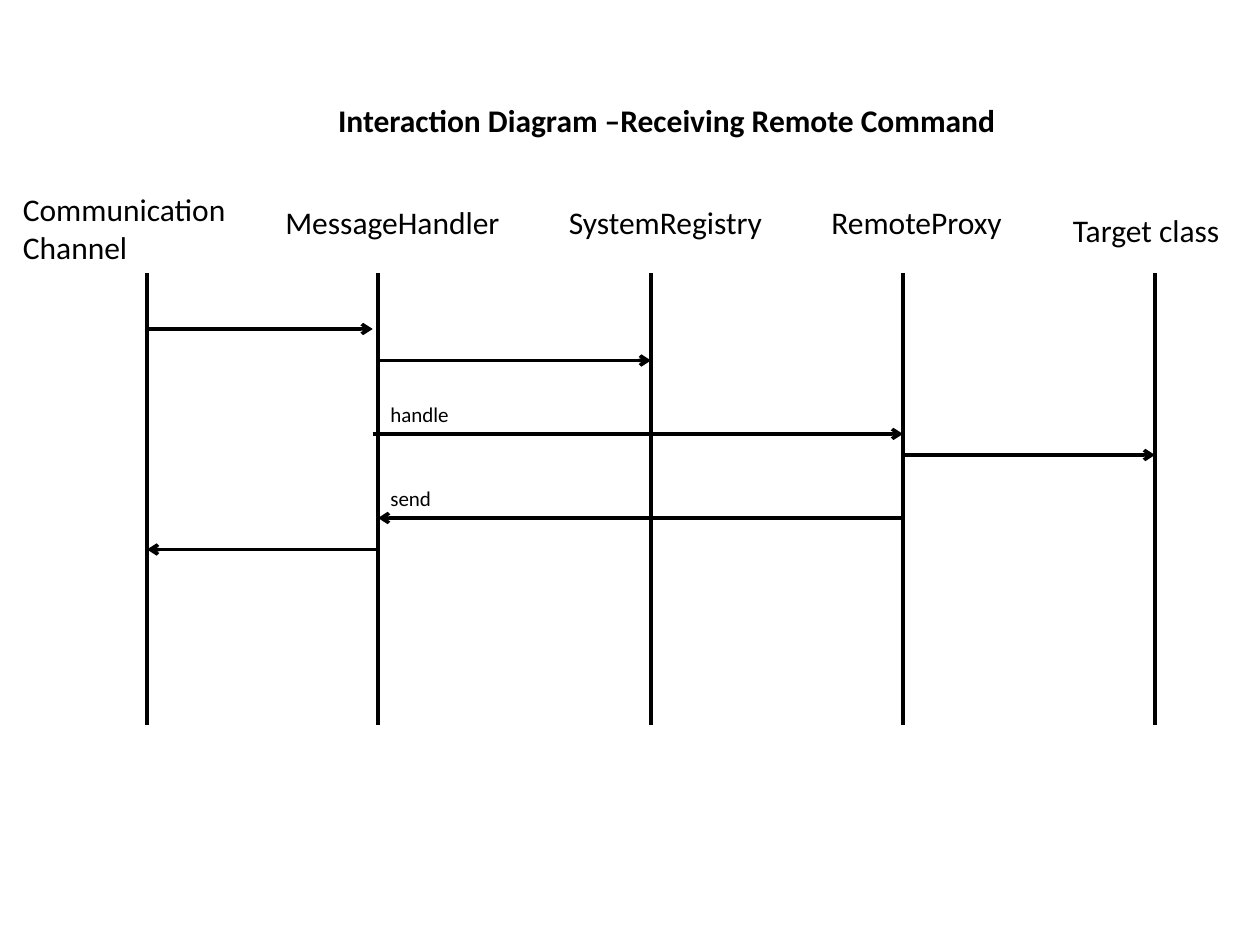
from lxml import etree
from pptx import Presentation
from pptx.dml.color import RGBColor
from pptx.enum import shapes, text
from pptx.oxml import ns
from pptx.util import Pt


def rgb(value):
    """Turn a hex string into a colour."""
    return RGBColor.from_string(value)


class SequenceDiagram:
    """Hold the diagram style and the slide being drawn."""

    font, ink, weight = "Calibri", "000000", 2

    def __init__(self, prs):
        """Add a title-only slide."""
        self.s = prs.slides.add_slide(prs.slide_layouts[5])

    def style(self, tf, size, bold=False, wrap=True):
        """Format every run of a text frame."""
        tf.word_wrap = wrap
        tf.auto_size = text.MSO_AUTO_SIZE.NONE
        tf.vertical_anchor = text.MSO_ANCHOR.TOP
        for p in tf.paragraphs:
            p.alignment = text.PP_ALIGN.LEFT
            for r in p.runs:
                r.font.name, r.font.size, r.font.bold = self.font, Pt(size), bold
                r.font.color.rgb = rgb(self.ink)

    def title(self, words, x, y, w, h):
        """Place the slide title."""
        sp = self.s.shapes.title
        sp.left, sp.top, sp.width, sp.height = Pt(x), Pt(y), Pt(w), Pt(h)
        sp.text_frame.text = words
        self.style(sp.text_frame, 18, bold=True, wrap=False)

    def label(self, words, x, y, w, h, size=18):
        """Add a text label."""
        sp = self.s.shapes.add_textbox(Pt(x), Pt(y), Pt(w), Pt(h))
        sp.text_frame.text = words
        self.style(sp.text_frame, size)

    def line(self, x1, y1, x2, y2):
        """Add a straight line without shadow."""
        sp = self.s.shapes.add_connector(
            shapes.MSO_CONNECTOR.STRAIGHT, Pt(x1), Pt(y1), Pt(x2), Pt(y2))
        sp.line.color.rgb = rgb(self.ink)
        sp.line.width = Pt(self.weight)
        etree.SubElement(sp._element.spPr, ns.qn("a:effectLst"))
        return sp

    def message(self, x1, x2, y):
        """Add a horizontal arrow between two lifelines."""
        ln = self.line(x1, y, x2, y).line._get_or_add_ln()
        etree.SubElement(ln, ns.qn("a:tailEnd"), type="arrow")


def main():
    """Build and save the slide."""
    prs = Presentation()
    prs.slide_width, prs.slide_height = Pt(720), Pt(540)
    d = SequenceDiagram(prs)
    d.title("Interaction Diagram –Receiving Remote Command", 186, 54, 394, 29)

    channel, handler, registry, proxy, target = 84, 216, 372, 516, 660
    participants = [
        ("Communication\vChannel", channel, 6, 105, 138, 51),
        ("MessageHandler", handler, 156, 112.5, 138, 29),
        ("SystemRegistry", registry, 318, 112.5, 138, 29),
        ("RemoteProxy", proxy, 468, 112.5, 138, 29),
        ("Target class", target, 606, 117, 114, 29),
    ]
    for name, lifeline, x, y, w, h in participants:
        d.label(name, x, y, w, h)
        d.line(lifeline, 156, lifeline, 414)

    messages = [
        (channel, handler - 3, 188),
        (handler, registry, 206),
        (handler - 3, proxy, 248),
        (proxy, target, 260),
        (proxy, handler, 296),
        (handler, channel, 314),
    ]
    for start, end, y in messages:
        d.message(start, end, y)

    for words, y in [("handle", 226), ("send", 274)]:
        d.label(words, handler, y, 114, 22, size=12)

    prs.save("out.pptx")


if __name__ == "__main__":
    main()
